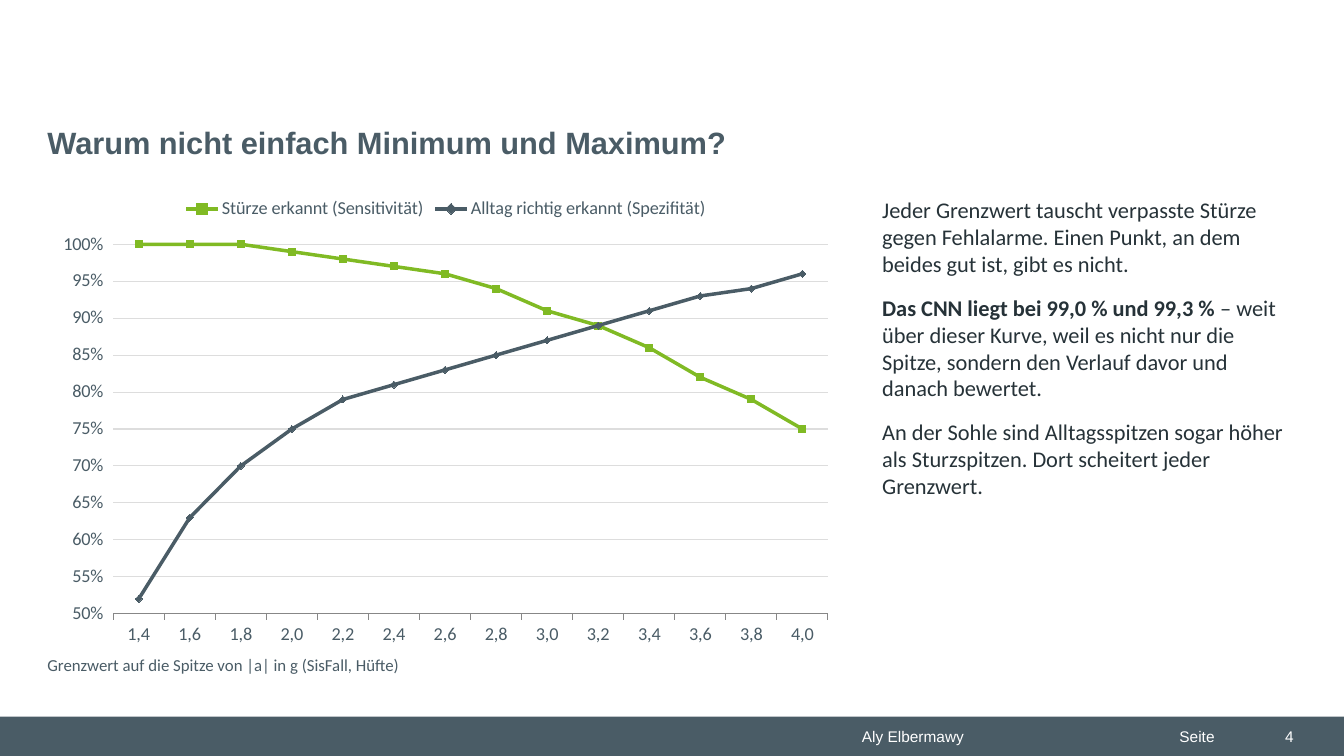
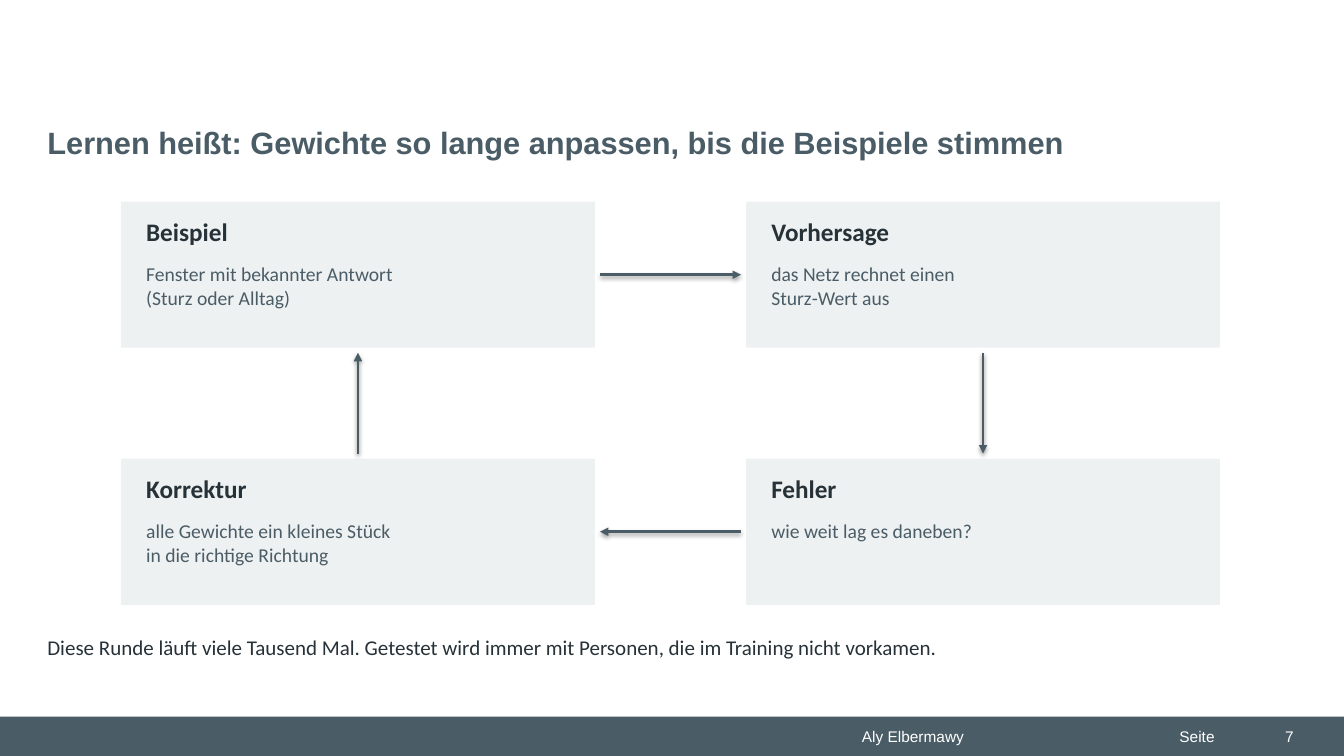
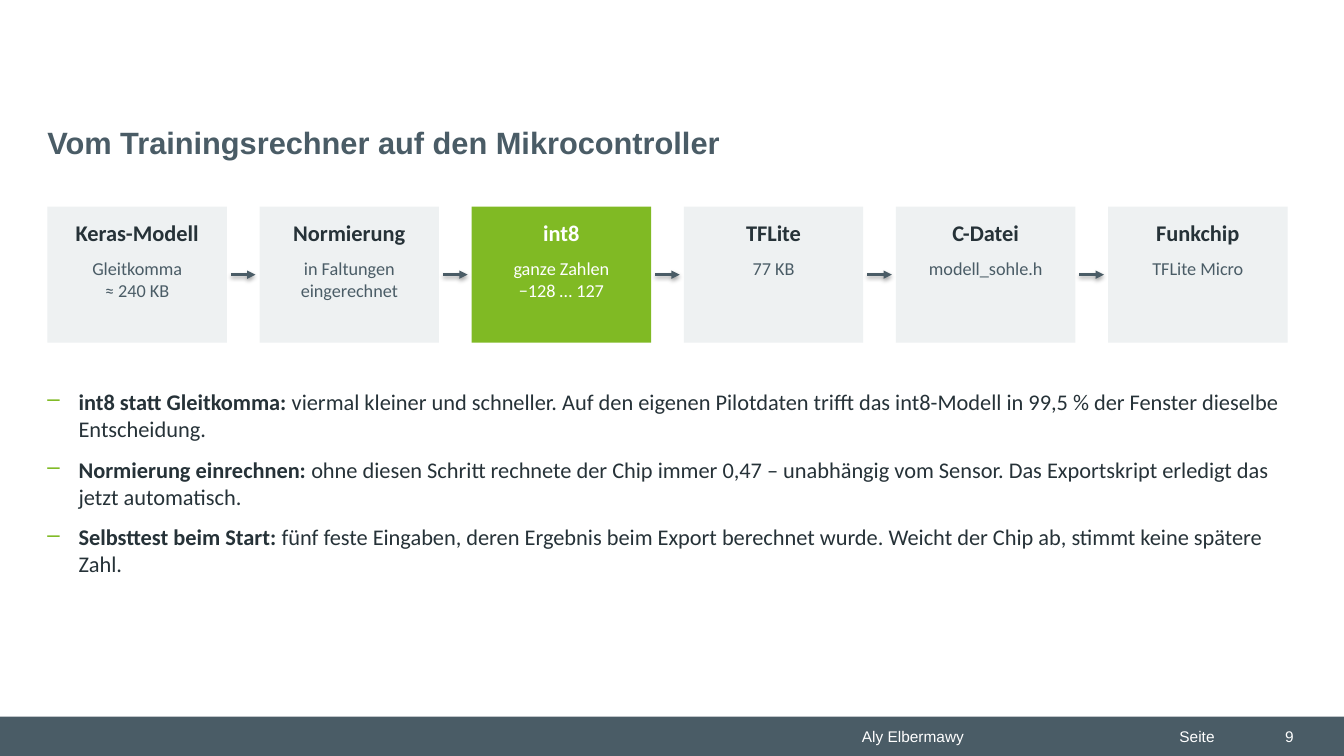
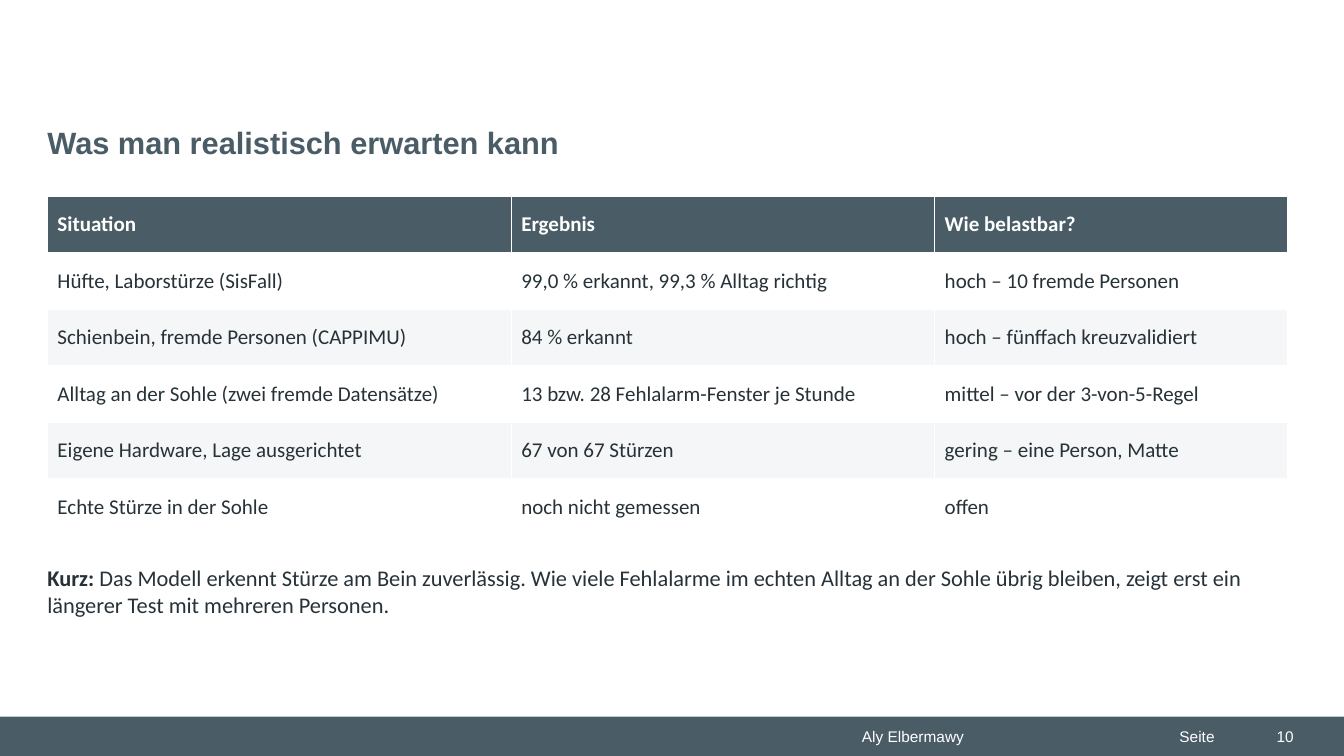
"""Build four slides on fall detection: threshold chart, training loop, export chain, results table."""
from dataclasses import dataclass, replace
from typing import Any, Optional, Sequence

from lxml import etree
from pptx import Presentation
from pptx import util as u
from pptx.chart import data as cdata
from pptx.dml.color import RGBColor
from pptx.enum import chart as kinds
from pptx.enum import shapes, text
from pptx.oxml import ns


@dataclass(frozen=True)
class Theme:
    slate: str = "4A5C66"
    ink: str = "263238"
    green: str = "80BA24"
    pale: str = "EEF1F2"
    stripe: str = "F4F6F7"
    white: str = "FFFFFF"
    grid: str = "DDDDDD"
    head: str = "Arial"
    body: str = "Calibri"
    title: float = 22
    large: float = 18
    main: float = 16
    cell: float = 15
    small: float = 14
    label: float = 13
    note: float = 12
    foot: float = 11


T = Theme()
LEFT, WIDE = 0.47, 12.3


@dataclass(frozen=True)
class Style:
    size: float
    color: str = T.ink
    bold: bool = False
    font: str = T.body
    align: Any = text.PP_ALIGN.LEFT
    after: float = 0
    bullet: bool = False


@dataclass(frozen=True)
class Para:
    plain: str = ""
    lead: str = ""


@dataclass(frozen=True)
class Box:
    x: float
    y: float
    w: float
    h: float

    def lengths(self) -> tuple:
        return tuple(u.Inches(n) for n in (self.x, self.y, self.w, self.h))


@dataclass(frozen=True)
class Card:
    head: str
    lines: Sequence[str]
    accent: bool = False


@dataclass(frozen=True)
class Look:
    w: float
    h: float
    pad: float
    top: float
    drop: float
    head: Style
    body: Style


@dataclass(frozen=True)
class Curve:
    name: str
    values: Sequence[float]
    color: str
    mark: Any


TITLE = Style(T.title, T.slate, True, T.head)
FOOT = Style(T.foot, T.white, font=T.head)
BODY = Style(T.main, after=12)
LOOP = Look(4.7, 1.45, 0.25, 0.15, 0.6,
            Style(T.large, bold=True), Style(T.small, T.slate))
CHAIN = Look(1.78, 1.35, 0.08, 0.12, 0.5,
             Style(T.main, bold=True, align=text.PP_ALIGN.CENTER),
             Style(T.label, T.slate, align=text.PP_ALIGN.CENTER))


def rgb(code: str) -> RGBColor:
    return RGBColor.from_string(code)


def node(parent: Any, tag: str, **attrs: str) -> Any:
    return etree.SubElement(parent, ns.qn(tag), attrs)


def write(frame: Any, paras: Sequence[Para], style: Style) -> None:
    for i, para in enumerate(paras):
        p = frame.add_paragraph() if i else frame.paragraphs[0]
        p.alignment = style.align
        p.space_after = u.Pt(style.after)
        if style.bullet:
            props = p._p.get_or_add_pPr()
            props.set("marL", str(u.Inches(0.31)))
            props.set("indent", str(-u.Inches(0.31)))
            node(node(props, "a:buClr"), "a:srgbClr", val=T.green)
            node(props, "a:buChar", char="–")
        p.text = para.lead or para.plain
        if para.lead:
            p.add_run().text = para.plain
        for k, run in enumerate(p.runs):
            font = run.font
            font.name, font.size = style.font, u.Pt(style.size)
            font.bold = style.bold or bool(para.lead and k == 0)
            font.color.rgb = rgb(style.color)


def label(slide: Any, box: Box, paras: Sequence[Para], style: Style,
          side: float = 0, edge: float = 0) -> Any:
    frame = slide.shapes.add_textbox(*box.lengths()).text_frame
    frame.word_wrap = True
    frame.margin_left = frame.margin_right = u.Inches(side)
    frame.margin_top = frame.margin_bottom = u.Inches(edge)
    write(frame, paras, style)
    return frame


def panel(slide: Any, box: Box, color: str) -> None:
    shape = slide.shapes.add_shape(shapes.MSO_SHAPE.RECTANGLE, *box.lengths())
    shape.shadow.inherit = False
    shape.fill.solid()
    shape.fill.fore_color.rgb = rgb(color)
    shape.line.fill.background()


def arrow(slide: Any, x1: float, y1: float, x2: float, y2: float, width: float) -> None:
    ends = (u.Inches(n) for n in (x1, y1, x2, y2))
    line = slide.shapes.add_connector(shapes.MSO_CONNECTOR.STRAIGHT, *ends)
    line.line.color.rgb = rgb(T.slate)
    line.line.width = u.Pt(width)
    node(line.get_or_add_ln(), "a:tailEnd", type="triangle")


def card(slide: Any, x: float, y: float, item: Card, look: Look) -> None:
    head, body = look.head, look.body
    if item.accent:
        head, body = (replace(s, color=T.white) for s in (head, body))
    panel(slide, Box(x, y, look.w, look.h), T.green if item.accent else T.pale)
    left, width = x + look.pad, look.w - 2 * look.pad
    label(slide, Box(left, y + look.top, width, 0.4), [Para(item.head)], head)
    label(slide, Box(left, y + look.drop, width, 0.8),
          [Para(line) for line in item.lines], body)


def start(deck: Any, title: str, page: int) -> Any:
    slide = deck.slides.add_slide(deck.slide_layouts[6])
    panel(slide, Box(0, 7.11, 13.33, 0.39), T.slate)
    label(slide, Box(8.45, 7.16, 3.15, 0.29), [Para("Aly Elbermawy")], FOOT, 0.1, 0.05)
    label(slide, Box(11.6, 7.16, 0.84, 0.29), [Para("Seite")], FOOT, 0.1, 0.05)
    frame = label(slide, Box(12.23, 7.16, 0.7, 0.29), [Para(str(page))],
                  replace(FOOT, align=text.PP_ALIGN.RIGHT), 0.1, 0.05)
    frame.vertical_anchor = text.MSO_ANCHOR.MIDDLE
    label(slide, Box(LEFT, 1.18, 12.28, 0.63), [Para(title)], TITLE, 0, 0.05)
    return slide


def graph(slide: Any, box: Box, cats: Sequence[str], curves: Sequence[Curve]) -> None:
    data = cdata.CategoryChartData()
    data.categories = cats
    for curve in curves:
        data.add_series(curve.name, curve.values)
    chart = slide.shapes.add_chart(
        kinds.XL_CHART_TYPE.LINE_MARKERS, *box.lengths(), data).chart
    chart.font.name, chart.font.size = T.body, u.Pt(T.label)
    chart.font.color.rgb = rgb(T.slate)
    chart.has_title = False
    chart.has_legend = True
    chart.legend.position = kinds.XL_LEGEND_POSITION.TOP
    chart.legend.include_in_layout = False
    axis = chart.value_axis
    axis.minimum_scale, axis.maximum_scale, axis.major_unit = 50, 100, 5
    axis.tick_labels.number_format = '0"%"'
    axis.tick_labels.number_format_is_linked = False
    axis.format.line.fill.background()
    axis.major_gridlines.format.line.color.rgb = rgb(T.grid)
    axis.major_gridlines.format.line.width = u.Pt(0.75)
    plot = chart.plots[0]
    plot.vary_by_categories = False
    for series, curve in zip(plot.series, curves):
        series.smooth = False
        series.format.line.color.rgb = rgb(curve.color)
        series.format.line.width = u.Pt(2.5)
        series.marker.style, series.marker.size = curve.mark, 5
        look = series.marker.format
        look.fill.solid()
        look.fill.fore_color.rgb = rgb(curve.color)
        look.line.color.rgb = rgb(curve.color)


def grid(slide: Any, box: Box, cols: Sequence[float], rows: Sequence[Sequence[str]]) -> None:
    table = slide.shapes.add_table(len(rows), len(cols), *box.lengths()).table
    for col, width in zip(table.columns, cols):
        col.width = u.Inches(width)
    for i, row in enumerate(rows):
        fill = T.slate if i == 0 else T.white if i % 2 else T.stripe
        style = Style(T.cell, T.ink if i else T.white, bold=i == 0)
        for j, words in enumerate(row):
            cell = table.cell(i, j)
            cell.margin_left = cell.margin_right = u.Inches(0.1)
            cell.margin_top = cell.margin_bottom = u.Inches(0.03)
            cell.vertical_anchor = text.MSO_ANCHOR.MIDDLE
            write(cell.text_frame, [Para(words)], style)
            for side in ("L", "R", "T", "B"):
                edge = node(cell._tc.get_or_add_tcPr(), f"a:ln{side}", w=str(u.Pt(1)))
                node(node(edge, "a:solidFill"), "a:srgbClr", val=T.white)
            cell.fill.solid()
            cell.fill.fore_color.rgb = rgb(fill)


def limits(deck: Any) -> None:
    slide = start(deck, "Warum nicht einfach Minimum und Maximum?", 4)
    cats = [f"{n / 10:.1f}".replace(".", ",") for n in range(14, 41, 2)]
    graph(slide, Box(LEFT, 1.85, 7.9, 4.65), cats, [
        Curve("Stürze erkannt (Sensitivität)",
              (100, 100, 100, 99, 98, 97, 96, 94, 91, 89, 86, 82, 79, 75),
              T.green, kinds.XL_MARKER_STYLE.SQUARE),
        Curve("Alltag richtig erkannt (Spezifität)",
              (52, 63, 70, 75, 79, 81, 83, 85, 87, 89, 91, 93, 94, 96),
              T.slate, kinds.XL_MARKER_STYLE.DIAMOND),
    ])
    label(slide, Box(LEFT, 6.5, 7.9, 0.35),
          [Para("Grenzwert auf die Spitze von |a| in g (SisFall, Hüfte)")],
          Style(T.note, T.slate))
    label(slide, Box(8.75, 1.95, 4, 4.8), [
        Para("Jeder Grenzwert tauscht verpasste Stürze gegen Fehlalarme. "
             "Einen Punkt, an dem beides gut ist, gibt es nicht."),
        Para("– weit über dieser Kurve, weil es nicht nur die Spitze, "
             "sondern den Verlauf davor und danach bewertet.",
             "Das CNN liegt bei 99,0 % und 99,3 % "),
        Para("An der Sohle sind Alltagsspitzen sogar höher als Sturzspitzen. "
             "Dort scheitert jeder Grenzwert."),
    ], BODY)


def training(deck: Any) -> None:
    slide = start(deck, "Lernen heißt: Gewichte so lange anpassen, bis die Beispiele stimmen", 7)
    x1, x2, y1, y2, gap = 1.2, 7.4, 2, 4.55, 0.05
    spots = ((x1, y1), (x2, y1), (x2, y2), (x1, y2))
    cards = (
        Card("Beispiel", ("Fenster mit bekannter Antwort", "(Sturz oder Alltag)")),
        Card("Vorhersage", ("das Netz rechnet einen", "Sturz-Wert aus")),
        Card("Fehler", ("wie weit lag es daneben?",)),
        Card("Korrektur", ("alle Gewichte ein kleines Stück", "in die richtige Richtung")),
    )
    for (x, y), item in zip(spots, cards):
        card(slide, x, y, item, LOOP)
    near, far = x1 + LOOP.w + gap, x2 - gap
    high, low = y1 + LOOP.h + gap, y2 - gap
    midx, midy = LOOP.w / 2, LOOP.h / 2
    for ends in ((near, y1 + midy, far, y1 + midy), (x2 + midx, high, x2 + midx, low),
                 (far, y2 + midy, near, y2 + midy), (x1 + midx, low, x1 + midx, high)):
        arrow(slide, *ends, 2)
    label(slide, Box(LEFT, 6.3, WIDE, 0.5),
          [Para("Diese Runde läuft viele Tausend Mal. Getestet wird immer mit Personen, "
                "die im Training nicht vorkamen.")], Style(T.cell))


def export(deck: Any) -> None:
    slide = start(deck, "Vom Trainingsrechner auf den Mikrocontroller", 9)
    cards = (
        Card("Keras-Modell", ("Gleitkomma", "≈ 240 KB")),
        Card("Normierung", ("in Faltungen", "eingerechnet")),
        Card("int8", ("ganze Zahlen", "−128 … 127"), True),
        Card("TFLite", ("77 KB",)),
        Card("C-Datei", ("modell_sohle.h",)),
        Card("Funkchip", ("TFLite Micro",)),
    )
    top, gap = 2.05, 0.04
    step = (WIDE - CHAIN.w) / (len(cards) - 1)
    for i, item in enumerate(cards):
        x = LEFT + i * step
        card(slide, x, top, item, CHAIN)
        if i:
            mid = top + CHAIN.h / 2
            arrow(slide, x - step + CHAIN.w + gap, mid, x - gap, mid, 1.75)
    label(slide, Box(LEFT, 3.85, WIDE, 2.9), [
        Para("viermal kleiner und schneller. Auf den eigenen Pilotdaten trifft das "
             "int8-Modell in 99,5 % der Fenster dieselbe Entscheidung.",
             "int8 statt Gleitkomma: "),
        Para("ohne diesen Schritt rechnete der Chip immer 0,47 – unabhängig vom Sensor. "
             "Das Exportskript erledigt das jetzt automatisch.",
             "Normierung einrechnen: "),
        Para("fünf feste Eingaben, deren Ergebnis beim Export berechnet wurde. "
             "Weicht der Chip ab, stimmt keine spätere Zahl.",
             "Selbsttest beim Start: "),
    ], replace(BODY, after=10, bullet=True))


def results(deck: Any) -> None:
    slide = start(deck, "Was man realistisch erwarten kann", 10)
    grid(slide, Box(LEFT, 1.95, WIDE, 3.36), (4.6, 4.2, 3.5), (
        ("Situation", "Ergebnis", "Wie belastbar?"),
        ("Hüfte, Laborstürze (SisFall)", "99,0 % erkannt, 99,3 % Alltag richtig",
         "hoch – 10 fremde Personen"),
        ("Schienbein, fremde Personen (CAPPIMU)", "84 % erkannt",
         "hoch – fünffach kreuzvalidiert"),
        ("Alltag an der Sohle (zwei fremde Datensätze)",
         "13 bzw. 28 Fehlalarm-Fenster je Stunde", "mittel – vor der 3-von-5-Regel"),
        ("Eigene Hardware, Lage ausgerichtet", "67 von 67 Stürzen",
         "gering – eine Person, Matte"),
        ("Echte Stürze in der Sohle", "noch nicht gemessen", "offen"),
    ))
    label(slide, Box(LEFT, 5.6, WIDE, 1.1), [
        Para("Das Modell erkennt Stürze am Bein zuverlässig. Wie viele Fehlalarme im echten "
             "Alltag an der Sohle übrig bleiben, zeigt erst ein längerer Test mit mehreren "
             "Personen.", "Kurz: ")], BODY)


def main() -> None:
    deck = Presentation()
    deck.slide_width, deck.slide_height = u.Inches(13.33), u.Inches(7.5)
    for build in (limits, training, export, results):
        build(deck)
    deck.save("out.pptx")


if __name__ == "__main__":
    main()
